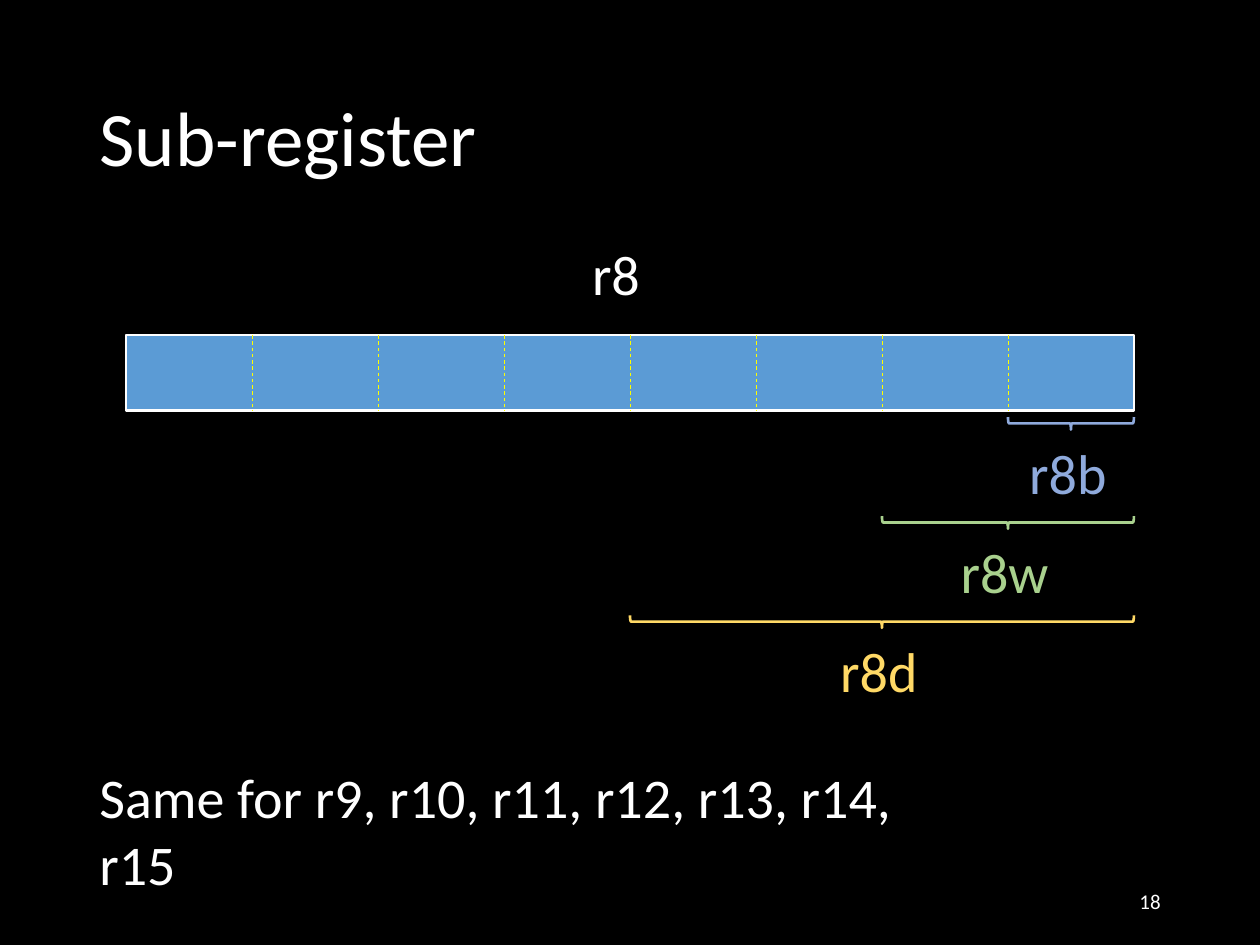
import pptx
import pptx.util
import pptx.dml.color
import pptx.enum.dml
import pptx.enum.shapes
import pptx.enum.text
import pptx.oxml.ns
import lxml.etree

COLORS = {
    "background": "000000",
    "text": "FFFFFF",
    "register": "5B9BD5",
    "divider": "FFFF00",
    "byte": "8FAADC",
    "word": "A9D18E",
    "double": "FFD966",
}
FONT = "Calibri"
WIDTH, HEIGHT = 10, 7.5
BYTES = 8
LABEL_HEIGHT = 0.64
BRACE_DEPTH = 0.1
SUB_REGISTERS = [
    ("r8b", 1, "byte", 0.86),
    ("r8w", 2, "word", 0.95),
    ("r8d", 4, "double", 0.86),
]
ALIGN = pptx.enum.text.PP_ALIGN
ANCHOR = pptx.enum.text.MSO_ANCHOR
SHAPE = pptx.enum.shapes.MSO_SHAPE


def rgb(name):
    return pptx.dml.color.RGBColor.from_string(COLORS[name])


def inches(*lengths):
    return [pptx.util.Inches(length) for length in lengths]


def write(s, text, size=32, color="text", align=ALIGN.LEFT,
          anchor=ANCHOR.TOP, wrap=True, spacing=None):
    tf = s.text_frame
    tf.word_wrap = wrap
    tf.vertical_anchor = anchor
    p = tf.paragraphs[0]
    p.alignment = align
    p.line_spacing = spacing
    r = p.add_run()
    r.text = text
    r.font.name = FONT
    r.font.size = pptx.util.Pt(size)
    r.font.color.rgb = rgb(color)


def add_text(slide, box, text, **style):
    write(slide.shapes.add_textbox(*inches(*box)), text, **style)


def add_title(slide, box, text):
    s = slide.shapes.title
    s.left, s.top, s.width, s.height = inches(*box)
    write(s, text, size=44, anchor=ANCHOR.MIDDLE, spacing=0.9)


def add_outlined(slide, kind, box, line, fill=None):
    s = slide.shapes.add_shape(kind, *inches(*box))
    s.shadow.inherit = False
    if fill:
        s.fill.solid()
        s.fill.fore_color.rgb = rgb(fill)
    else:
        s.fill.background()
    s.line.color.rgb = rgb(line)
    s.line.width = pptx.util.Pt(1.5)
    return s


def add_register(slide, box, label):
    left, top, width, height = box
    add_outlined(slide, SHAPE.RECTANGLE, box, "text", "register")
    for i in range(1, BYTES):
        x = left + i * width / BYTES
        s = slide.shapes.add_connector(
            pptx.enum.shapes.MSO_CONNECTOR.STRAIGHT,
            *inches(x, top, x, top + height))
        s.line.color.rgb = rgb("divider")
        s.line.width = pptx.util.Pt(0.5)
        s.line.dash_style = pptx.enum.dml.MSO_LINE.DASH
        lxml.etree.SubElement(s._element.spPr, pptx.oxml.ns.qn("a:effectLst"))
    add_text(slide, (left + 0.45 * width, top - 0.81, 0.61, LABEL_HEIGHT),
             label, wrap=False)


def add_sub_registers(slide, box):
    left, top, width, height = box
    row = height / len(SUB_REGISTERS)
    for i, (label, count, color, label_width) in enumerate(SUB_REGISTERS):
        span = count * width / BYTES
        center = left + width - span / 2
        y = top + i * row
        brace = add_outlined(
            slide, SHAPE.LEFT_BRACE,
            (center - BRACE_DEPTH / 2, y + (BRACE_DEPTH - span) / 2,
             BRACE_DEPTH, span), color)
        brace.rotation = 270
        add_text(slide, (center - label_width / 2, y + 0.12,
                         label_width, LABEL_HEIGHT),
                 label, color=color, wrap=False)


def main():
    prs = pptx.Presentation()
    prs.slide_width, prs.slide_height = inches(WIDTH, HEIGHT)
    slide = prs.slides.add_slide(prs.slide_layouts[5])
    slide.background.fill.solid()
    slide.background.fill.fore_color.rgb = rgb("background")

    margin = 0.69
    left, width = 0.1 * WIDTH, 0.8 * WIDTH
    add_title(slide, (margin, 0.4, WIDTH - 2 * margin, 1.45), "Sub-register")
    add_register(slide, (left, 2.66, width, 0.6), "r8")
    add_sub_registers(slide, (left, 3.31, width, 2.36))
    add_text(slide, (margin, 0.8 * HEIGHT, 6.88, LABEL_HEIGHT),
             "Same for r9, r10, r11, r12, r13, r14, r15")
    add_text(slide, (WIDTH - margin - 2.25, 6.95, 2.25, 0.4), "18",
             size=12, align=ALIGN.RIGHT, anchor=ANCHOR.MIDDLE)
    prs.save("out.pptx")


if __name__ == "__main__":
    main()
